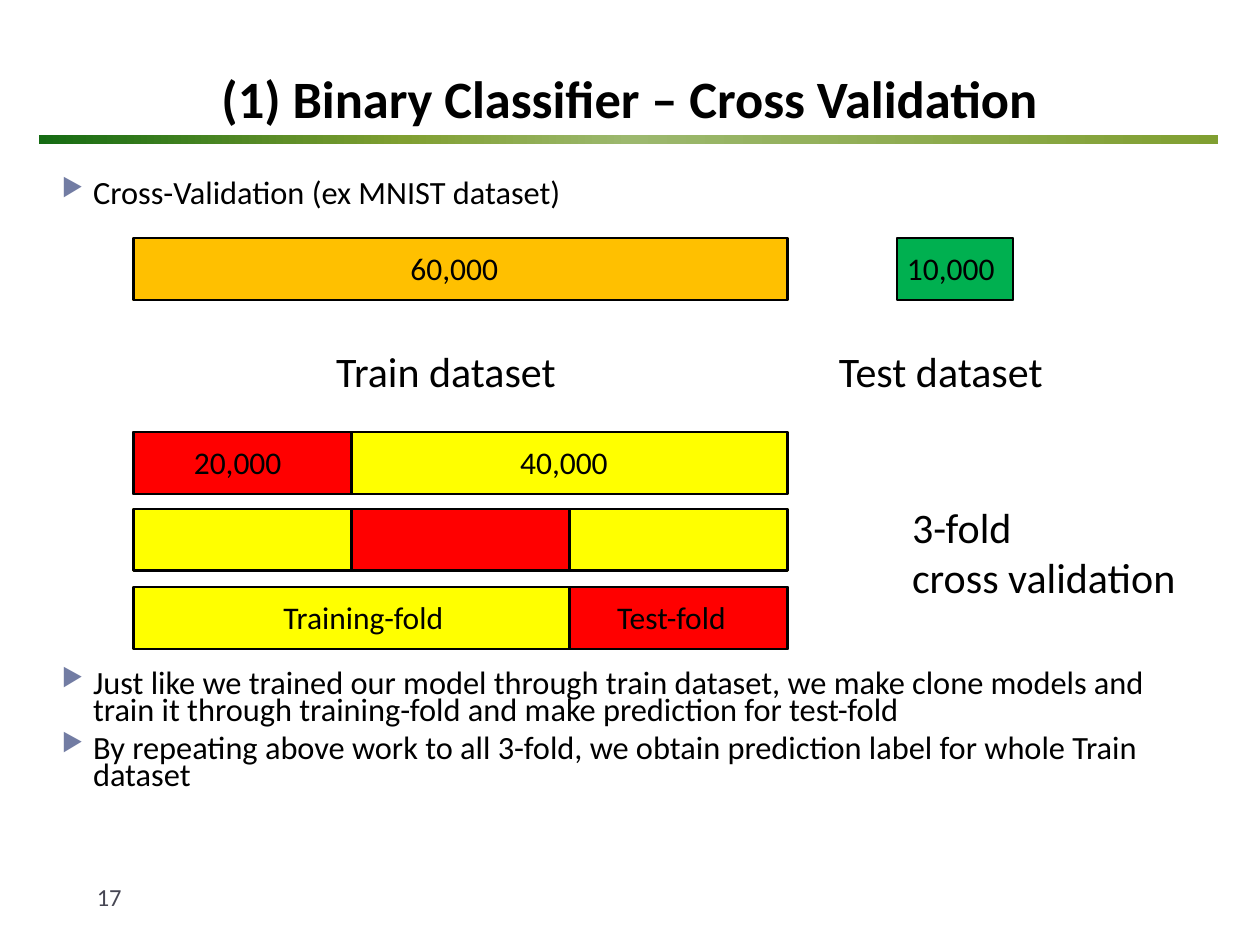
from dataclasses import dataclass

from lxml.etree import SubElement
from pptx import Presentation
from pptx.dml.color import RGBColor
from pptx.enum.shapes import MSO_SHAPE
from pptx.enum.text import MSO_ANCHOR, PP_ALIGN
from pptx.oxml.ns import qn
from pptx.util import Inches, Pt


@dataclass(frozen=True)
class Theme:
    font: str = "Calibri"
    bullet_font: str = "OpenSymbol"
    text: str = "000000"
    muted: str = "464653"
    bullet: str = "727CA3"
    outline: str = "000000"
    train: str = "FFC000"
    test: str = "00B050"
    training_fold: str = "FFFF00"
    test_fold: str = "FF0000"
    rule: tuple = ((0, "809F31"), (50, "9CB86E"), (69, "809F31"), (100, "156B13"))
    title_size: float = 30
    caption_size: float = 24
    body_size: float = 18.5
    label_size: float = 18
    number_size: float = 14
    line_width: float = 1.5


class SlideBuilder:
    def __init__(self, slide, theme):
        self.slide = slide
        self.theme = theme

    def rectangle(self, left, top, width, height, fill=None, line=None):
        box = self.slide.shapes.add_shape(
            MSO_SHAPE.RECTANGLE, Inches(left), Inches(top), Inches(width), Inches(height))
        box.shadow.inherit = False
        if fill:
            box.fill.solid()
            box.fill.fore_color.rgb = RGBColor.from_string(fill)
        else:
            box.fill.background()
        if line:
            box.line.color.rgb = RGBColor.from_string(line)
            box.line.width = Pt(self.theme.line_width)
        else:
            box.line.fill.background()
        return box

    def segmented_bar(self, left, top, segment_width, height, fills):
        """Draw equal segments in a black frame; test folds get their own frame on top."""
        outline, test_fold = self.theme.outline, self.theme.test_fold
        segments = [(left + index * segment_width, fill) for index, fill in enumerate(fills)]
        for segment_left, fill in segments:
            if fill != test_fold:
                self.rectangle(segment_left, top, segment_width, height, fill, fill)
        self.rectangle(left, top, len(fills) * segment_width, height, line=outline)
        for segment_left, fill in segments:
            if fill == test_fold:
                self.rectangle(segment_left, top, segment_width, height, fill, outline)

    def gradient_rule(self, left, top, width, height):
        rule = self.rectangle(left, top, width, height)
        rule.fill.gradient()
        rule.fill.gradient_angle = 180
        stops = rule.fill._fill._gradFill.find(qn("a:gsLst"))
        for stop in list(stops):
            stops.remove(stop)
        for position, color in self.theme.rule:
            stop = SubElement(stops, qn("a:gs"), pos=str(position * 1000))
            SubElement(stop, qn("a:srgbClr"), val=color)

    def text(self, left, top, width, height, lines, size, color=None, bold=False,
             wrap=False, align=PP_ALIGN.LEFT, anchor=MSO_ANCHOR.TOP, bulleted=False):
        box = self.slide.shapes.add_textbox(
            Inches(left), Inches(top), Inches(width), Inches(height))
        frame = box.text_frame
        frame.word_wrap = wrap
        frame.vertical_anchor = anchor
        for index, line in enumerate(lines):
            paragraph = frame.paragraphs[0] if index == 0 else frame.add_paragraph()
            paragraph.alignment = align
            if bulleted:
                self.bullet(paragraph)
                paragraph.line_spacing = 0.7
                if index:
                    paragraph.space_before = Pt(6)
            run = paragraph.add_run()
            run.text = line
            run.font.name = self.theme.font
            run.font.size = Pt(size)
            run.font.bold = bold
            run.font.color.rgb = RGBColor.from_string(color or self.theme.text)

    def bullet(self, paragraph):
        properties = paragraph._p.get_or_add_pPr()
        properties.set("marL", str(Inches(0.25)))
        properties.set("indent", str(Inches(-0.25)))
        bullet_color = SubElement(properties, qn("a:buClr"))
        SubElement(bullet_color, qn("a:srgbClr"), val=self.theme.bullet)
        SubElement(properties, qn("a:buSzPct"), val="76000")
        SubElement(properties, qn("a:buFont"), typeface=self.theme.bullet_font)
        SubElement(properties, qn("a:buChar"), char="▶")

    def bullets(self, top, height, lines):
        self.text(0.39, top, 9.02, height, lines, self.theme.body_size,
                  wrap=True, bulleted=True)

    def label(self, left, top, width, words):
        self.text(left, top, width, 0.4, [words], self.theme.label_size)

    def caption(self, left, top, width, words):
        self.text(left, top, width, 0.5, [words], self.theme.caption_size)


def main():
    theme = Theme()
    presentation = Presentation()
    presentation.slide_width, presentation.slide_height = Inches(10), Inches(7.5)
    slide = presentation.slides.add_slide(presentation.slide_layouts[6])
    builder = SlideBuilder(slide, theme)

    builder.gradient_rule(0.31, 1.07, 9.36, 0.07)
    builder.text(0, 0, 10, 1.07, ["(1) Binary Classifier – Cross Validation"],
                 theme.title_size, bold=True, wrap=True,
                 align=PP_ALIGN.CENTER, anchor=MSO_ANCHOR.BOTTOM)
    builder.text(0.67, 6.95, 2.17, 0.4, ["17"], theme.number_size, theme.muted, wrap=True)

    builder.bullets(1.4, 0.4, ["Cross-Validation (ex MNIST dataset)"])
    builder.bullets(5.29, 1.32, [
        "Just like we trained our model through train dataset, we make clone models "
        "and train it through training-fold and make prediction for test-fold",
        "By repeating above work to all 3-fold, we obtain prediction label for whole "
        "Train dataset",
    ])

    bar_left, fold_width, bar_height = 1.06, 1.73, 0.49
    fold_count = 3

    dataset_top = 1.89
    builder.segmented_bar(bar_left, dataset_top, fold_width, bar_height,
                          [theme.train] * fold_count)
    builder.rectangle(7.14, dataset_top, 0.9, bar_height, theme.test, theme.test)
    builder.rectangle(7.12, dataset_top, 0.92, bar_height, line=theme.outline)
    builder.caption(2.57, 2.69, 1.96, "Train dataset")
    builder.caption(6.56, 2.69, 1.84, "Test dataset")

    # Each round holds out the next third of the train dataset.
    for held_out, top in enumerate((3.43, 4.04, 4.66)):
        fills = [theme.training_fold] * fold_count
        fills[held_out] = theme.test_fold
        builder.segmented_bar(bar_left, top, fold_width, bar_height, fills)
    builder.text(7.14, 3.93, 2.56, 0.91, ["3-fold", "cross validation"],
                 theme.caption_size, wrap=True)

    for left, top, width, words in (
        (3.16, 1.93, 0.9, "60,000"),
        (7.1, 1.93, 0.9, "10,000"),
        (1.44, 3.47, 0.9, "20,000"),
        (4.03, 3.47, 0.9, "40,000"),
        (2.15, 4.7, 1.49, "Training-fold"),
        (4.8, 4.7, 1.08, "Test-fold"),
    ):
        builder.label(left, top, width, words)

    presentation.save("out.pptx")


if __name__ == "__main__":
    main()
